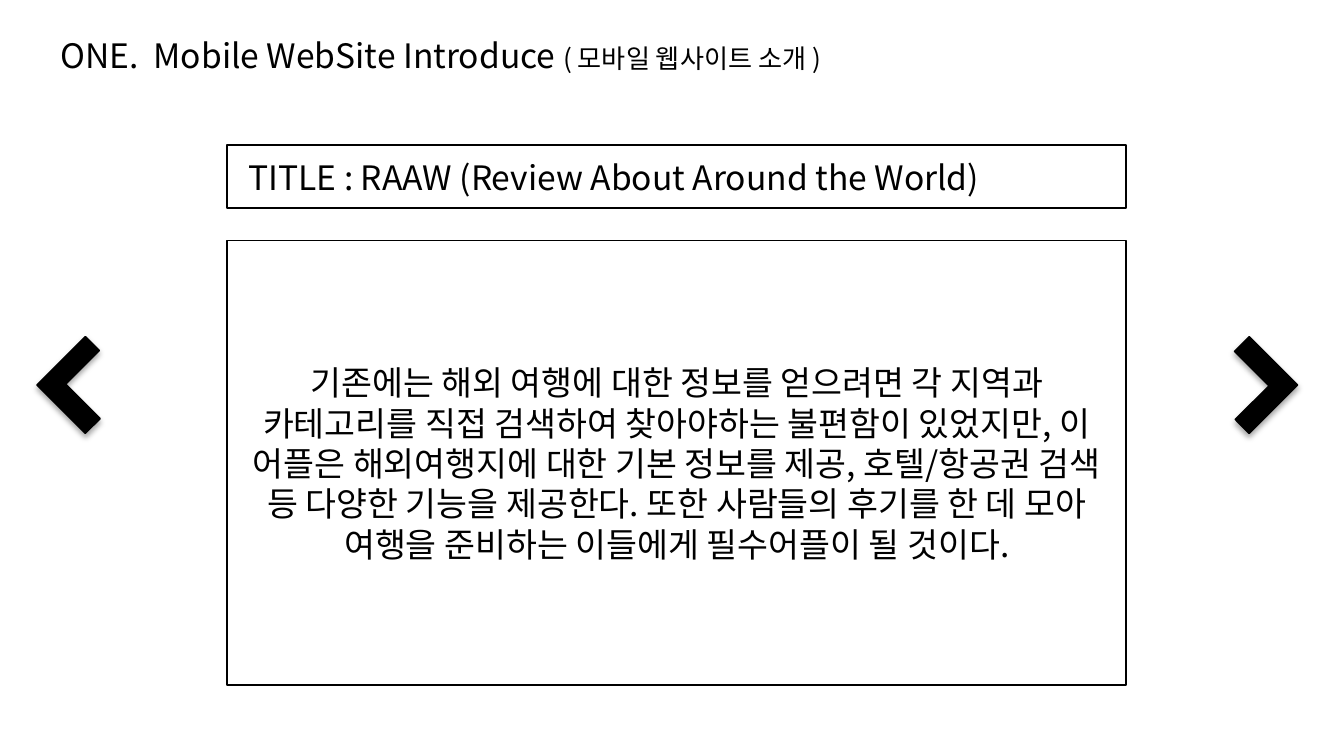
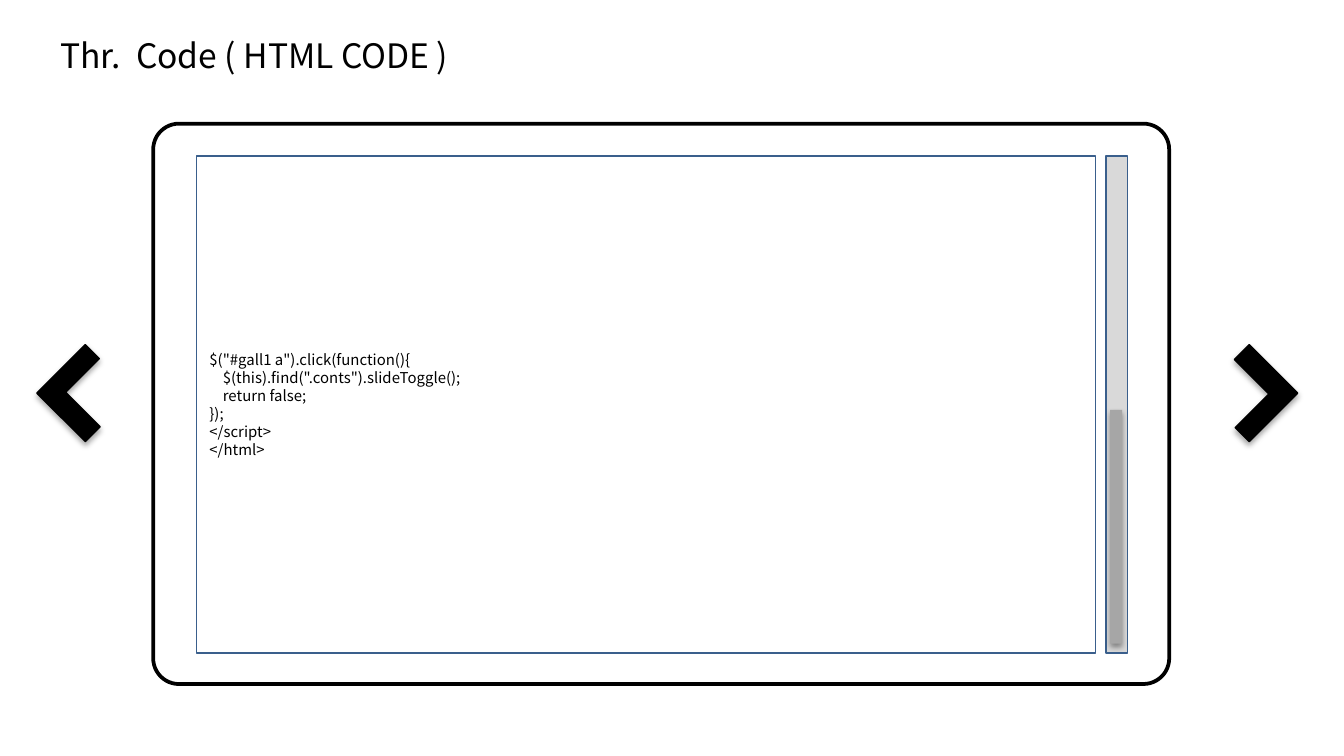
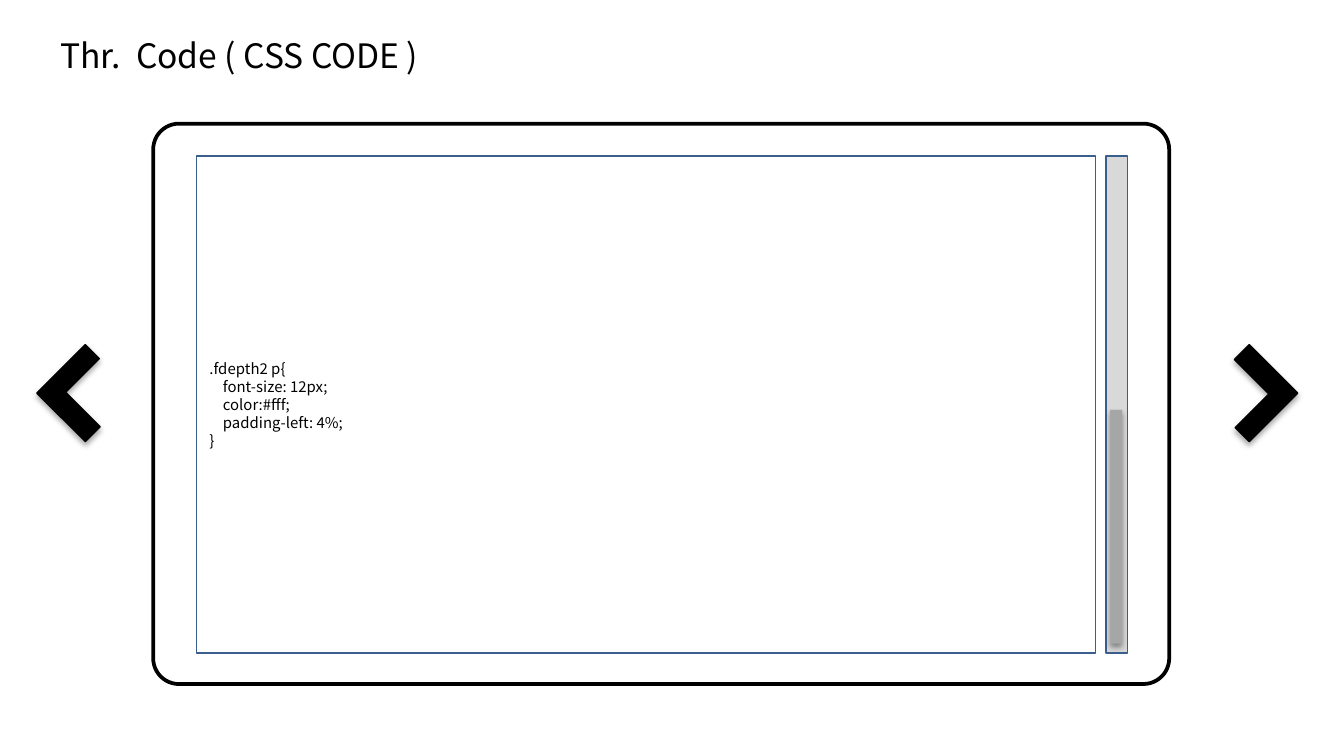
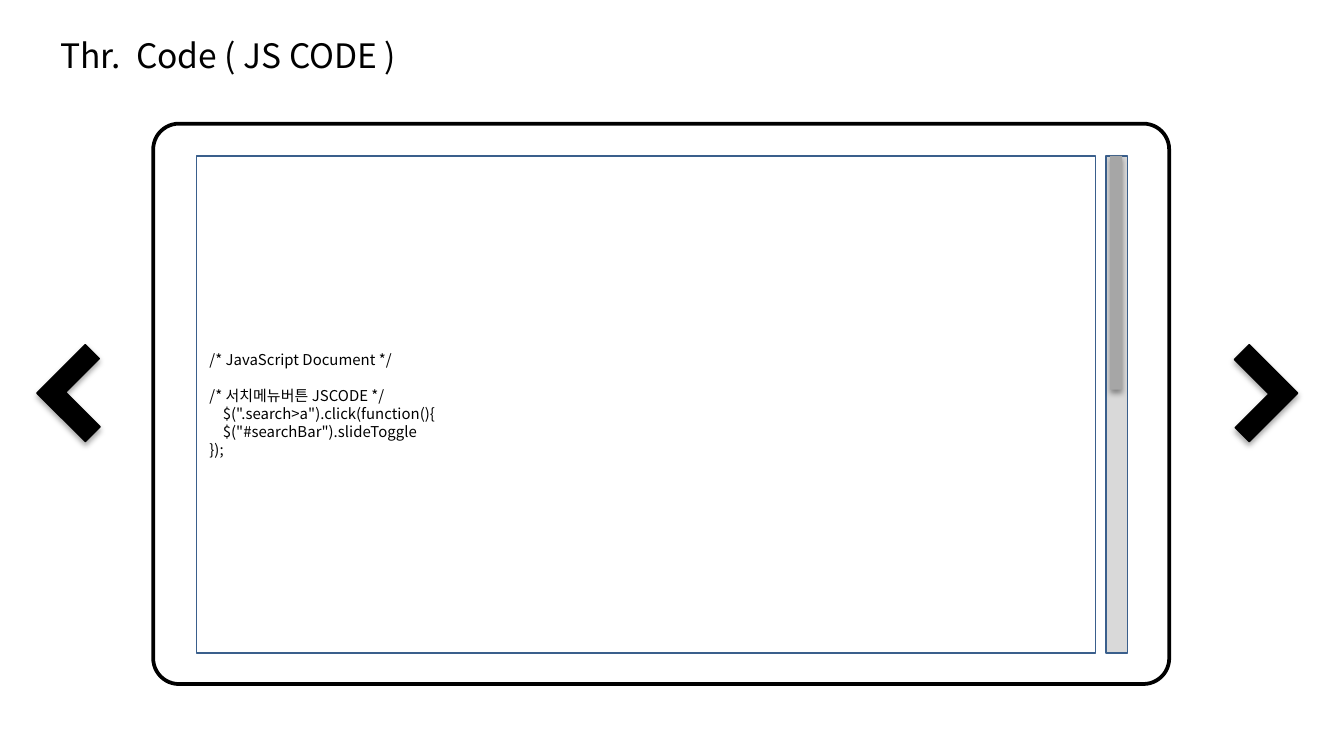
from dataclasses import dataclass

from lxml import etree
from pptx import Presentation
from pptx.dml.color import RGBColor
from pptx.enum.shapes import MSO_SHAPE as Shape
from pptx.enum.text import MSO_ANCHOR as Anchor, MSO_AUTO_SIZE as AutoSize, PP_ALIGN as Align
from pptx.oxml.ns import qn
from pptx.util import Emu, Inches, Pt


@dataclass(frozen=True)
class Theme:
    font: str = "Noto Sans CJK KR"
    ink: str = "000000"
    paper: str = "FFFFFF"
    frame: str = "3A5F8C"
    track: str = "D9D9D9"
    thumb: str = "A6A6A6"
    title: int = 18
    subtitle: int = 14
    body: int = 18
    code: int = 8
    code_line: float = 9.6
    code_indent: float = 0.1


THEME = Theme()
WIDTH, HEIGHT = Inches(10), Inches(5.625)

INTRO = (
    "기존에는 해외 여행에 대한 정보를 얻으려면 각 지역과 카테고리를 직접 검색하여 "
    "찾아야하는 불편함이 있었지만, 이 어플은 해외여행지에 대한 기본 정보를 제공, "
    "호텔/항공권 검색 등 다양한 기능을 제공한다. 또한 사람들의 후기를 한 데 모아 "
    "여행을 준비하는 이들에게 필수어플이 될 것이다."
)

# Each code line: indent level, blank lines above, text
HTML_CODE = [
    (0, 0, '$("#gall1 a").click(function(){'),
    (1, 0, '$(this).find(".conts").slideToggle();'),
    (1, 0, "return false;"),
    (0, 0, "});"),
    (0, 0, "</script>"),
    (0, 0, "</html>"),
]
CSS_CODE = [
    (0, 0, ".fdepth2 p{"),
    (1, 0, "font-size: 12px;"),
    (1, 0, "color:#fff;"),
    (1, 0, "padding-left: 4%;"),
    (0, 0, "}"),
]
JS_CODE = [
    (0, 0, "/* JavaScript Document */"),
    (0, 1, "/* 서치메뉴버튼 JSCODE */"),
    (1, 0, '$(".search>a").click(function(){'),
    (1, 0, '$("#searchBar").slideToggle'),
    (0, 0, "});"),
]


def place(x, y, w, h):
    """Turn percentages of the slide's width and height into lengths."""
    return [Emu(round(share * full / 100))
            for share, full in zip((x, y, w, h), (WIDTH, HEIGHT) * 2)]


def add_run(p, text, size):
    r = p.add_run()
    r.text = text
    r.font.size = Pt(size)
    r.font.name = THEME.font
    r.font.color.rgb = RGBColor.from_string(THEME.ink)
    east_asian = etree.SubElement(r.font._element, qn("a:ea"))
    east_asian.set("typeface", THEME.font)


def add_box(s, kind, area, fill, line=None, weight=0.75):
    sp = s.shapes.add_shape(kind, *place(*area))
    sp.shadow.inherit = False
    sp.fill.solid()
    sp.fill.fore_color.rgb = RGBColor.from_string(fill)
    if line:
        sp.line.color.rgb = RGBColor.from_string(line)
        sp.line.width = Pt(weight)
    else:
        sp.line.fill.background()
    return sp


def add_shadow(sp, opacity, distance):
    effects = sp.element.spPr.find(qn("a:effectLst"))
    shadow = etree.SubElement(
        effects, qn("a:outerShdw"), blurRad=str(int(Pt(3.1))), dist=str(int(Pt(distance))),
        dir="5400000", rotWithShape="0")
    color = etree.SubElement(shadow, qn("a:srgbClr"), val=THEME.ink)
    etree.SubElement(color, qn("a:alpha"), val=str(opacity * 1000))


def first_paragraph(sp, align=Align.LEFT):
    """Prepare a shape for wrapped, vertically centred text."""
    tf = sp.text_frame
    tf.word_wrap = True
    tf.vertical_anchor = Anchor.MIDDLE
    p = tf.paragraphs[0]
    p.alignment = align
    return p


def indent(p, inches):
    p._p.get_or_add_pPr().set("marL", str(int(Inches(inches))))


def add_title(s, *runs):
    tf = s.shapes.add_textbox(*place(3.5, 3.73, 68.5, 7.11)).text_frame
    tf.word_wrap = True
    tf.auto_size = AutoSize.SHAPE_TO_FIT_TEXT
    for text, size in runs:
        add_run(tf.paragraphs[0], text, size)


def add_arrows(s, top):
    """Draw the previous and next chevrons at the slide's edges."""
    for left, turn in ((3.8, 45), (90.4, 225)):
        sp = add_box(s, Shape.CORNER, (left, top, 5.1, 9.07), THEME.ink, THEME.ink)
        sp.adjustments[0] = 0.306
        sp.adjustments[1] = 0.289
        sp.rotation = turn
        add_shadow(sp, 35, 1.8)


def add_panel(s, top, height, text, align=Align.LEFT):
    sp = add_box(s, Shape.RECTANGLE, (16.9, top, 66.9, height), THEME.paper, THEME.ink, 1)
    p = first_paragraph(sp, align)
    add_run(p, text, THEME.body)
    return p


def add_code_panel(s, area, lines):
    sp = add_box(s, Shape.RECTANGLE, area, THEME.paper, THEME.frame)
    p = first_paragraph(sp)
    for i, (level, blanks, text) in enumerate(lines):
        if i:
            p = sp.text_frame.add_paragraph()
            p.alignment = Align.LEFT
        indent(p, level * THEME.code_indent)
        p.space_before = Pt(blanks * THEME.code_line)
        add_run(p, text, THEME.code)


def add_scrollbar(s, top, height, thumb_top):
    add_box(s, Shape.RECTANGLE, (82.3, top, 1.6, height), THEME.track, THEME.frame)
    thumb = add_box(s, Shape.RECTANGLE, (82.6, thumb_top, 0.9, 30.93), THEME.thumb)
    add_shadow(thumb, 38, 1.6)


def new_slide(prs):
    return prs.slides.add_slide(prs.slide_layouts[6])


def intro_slide(prs):
    s = new_slide(prs)
    add_title(s, ("ONE.  Mobile WebSite Introduce ", THEME.title),
              ("( 모바일 웹사이트 소개 )", THEME.subtitle))
    add_arrows(s, 46.4)
    heading = add_panel(s, 19.2, 8.36, "TITLE : RAAW (Review About Around the World)")
    indent(heading, 0.06)
    add_panel(s, 31.82, 58.84, INTRO, Align.CENTER)


def code_slide(prs, language, lines, thumb_top):
    s = new_slide(prs)
    add_title(s, (f"Thr.  Code ( {language} CODE )", THEME.title))
    add_arrows(s, 47.47)
    device = add_box(s, Shape.ROUNDED_RECTANGLE, (11.4, 16.36, 75.6, 74.13),
                     THEME.paper, THEME.ink, 2)
    device.adjustments[0] = 0.046
    top, height = 20.62, 65.78
    add_code_panel(s, (14.6, top, 66.9, height), lines)
    add_scrollbar(s, top, height, thumb_top)


def main():
    prs = Presentation()
    prs.slide_width, prs.slide_height = WIDTH, HEIGHT
    intro_slide(prs)
    for language, lines, thumb_top in (("HTML", HTML_CODE, 54.22),
                                       ("CSS", CSS_CODE, 54.22),
                                       ("JS", JS_CODE, 20.62)):
        code_slide(prs, language, lines, thumb_top)
    prs.save("out.pptx")


if __name__ == "__main__":
    main()
